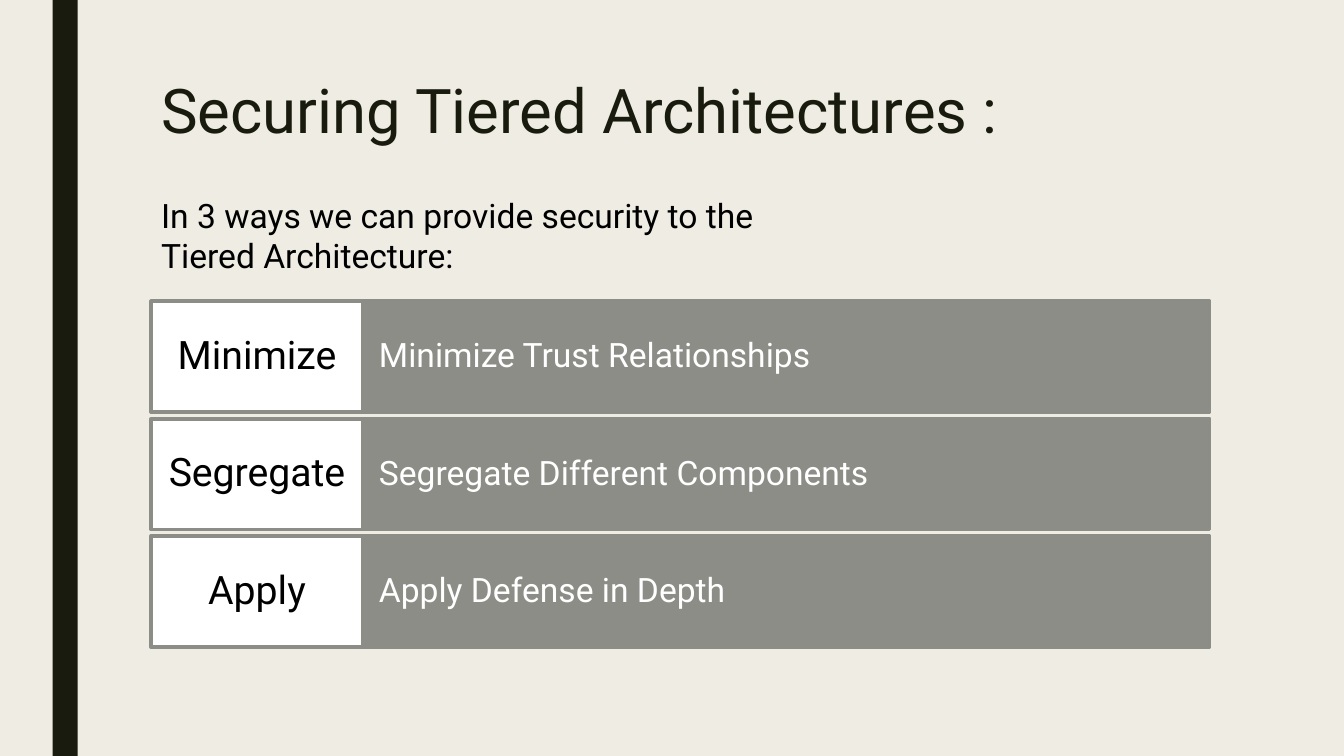
from pptx import Presentation
from pptx.dml.color import RGBColor
from pptx.enum.shapes import MSO_SHAPE as SHAPE
from pptx.enum.text import MSO_ANCHOR as ANCHOR, MSO_AUTO_SIZE as FIT, PP_ALIGN as ALIGN
from pptx.util import Pt

CREAM = RGBColor(0xEF, 0xED, 0xE3)
DARK = RGBColor(0x19, 0x1B, 0x0E)
GREY = RGBColor(0x8C, 0x8D, 0x86)
WHITE = RGBColor(0xFF, 0xFF, 0xFF)
BLACK = RGBColor(0, 0, 0)

FONT = "Roboto"
LEFT = 108
LABEL_W, DETAIL_W = 151.2, 604.8
ROW_TOP, ROW_H, ROW_PITCH = 215.2, 79.2, 83.9

WAYS = [
    ("Minimize", "Minimize Trust Relationships"),
    ("Segregate", "Segregate Different Components"),
    ("Apply", "Apply Defense in Depth"),
]


def write(sp, text, size, color, align=ALIGN.LEFT, anchor=ANCHOR.TOP, spacing=1.0):
    tf = sp.text_frame
    tf.text = text
    tf.word_wrap = True
    tf.auto_size = FIT.NONE
    tf.vertical_anchor = anchor
    p = tf.paragraphs[0]
    p.alignment = align
    p.line_spacing = spacing
    font = p.runs[0].font
    font.name, font.size = FONT, Pt(size)
    font.color.rgb = color
    return tf


def add_rect(slide, x, y, w, h, fill, line=None):
    sp = slide.shapes.add_shape(SHAPE.RECTANGLE, Pt(x), Pt(y), Pt(w), Pt(h))
    sp.shadow.inherit = False
    sp.fill.solid()
    sp.fill.fore_color.rgb = fill
    if line is None:
        sp.line.fill.background()
    else:
        sp.line.color.rgb = line
        sp.line.width = Pt(2.75)
    return sp


def add_title(slide, text):
    sp = slide.shapes.title
    sp.left, sp.top, sp.width, sp.height = Pt(LEFT), Pt(54), Pt(756), Pt(116.6)
    write(sp, text, 44, DARK, spacing=0.89)


def add_intro(slide, text):
    sp = slide.shapes.add_textbox(Pt(LEFT), Pt(135.4), Pt(495.4), Pt(65.5))
    write(sp, text, 24, BLACK).auto_size = FIT.SHAPE_TO_FIT_TEXT


def add_way(slide, y, label, detail):
    sp = add_rect(slide, LEFT + LABEL_W, y, DETAIL_W, ROW_H, GREY, GREY)
    tf = write(sp, detail, 24, WHITE, anchor=ANCHOR.MIDDLE, spacing=0.9)
    tf.margin_left = tf.margin_right = Pt(11.5)
    tf.margin_top = tf.margin_bottom = Pt(20)

    sp = add_rect(slide, LEFT, y, LABEL_W, ROW_H, WHITE, GREY)
    tf = write(sp, label, 28, BLACK, ALIGN.CENTER, ANCHOR.MIDDLE, 0.9)
    tf.margin_left = tf.margin_right = tf.margin_top = tf.margin_bottom = Pt(8)


def main():
    prs = Presentation()
    prs.slide_width, prs.slide_height = Pt(960), Pt(540)
    slide = prs.slides.add_slide(prs.slide_layouts[5])
    background = slide.background.fill
    background.solid()
    background.fore_color.rgb = CREAM

    add_rect(slide, 37.5, 0, 18, 540, DARK)
    add_title(slide, "Securing Tiered Architectures :")
    add_intro(slide, "In 3 ways we can provide security to the Tiered Architecture:")
    for i, (label, detail) in enumerate(WAYS):
        add_way(slide, ROW_TOP + i * ROW_PITCH, label, detail)

    prs.save("out.pptx")


if __name__ == "__main__":
    main()
